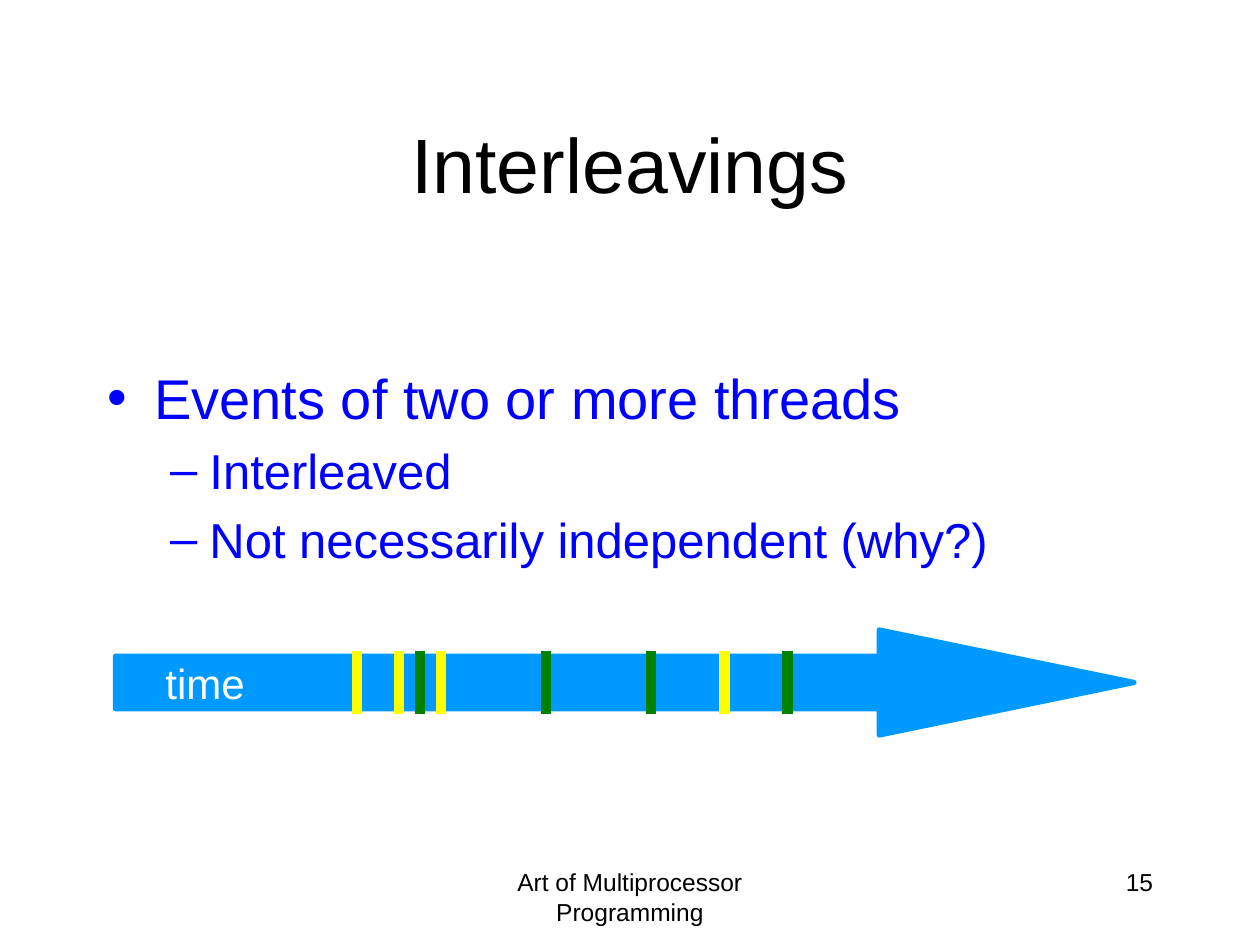
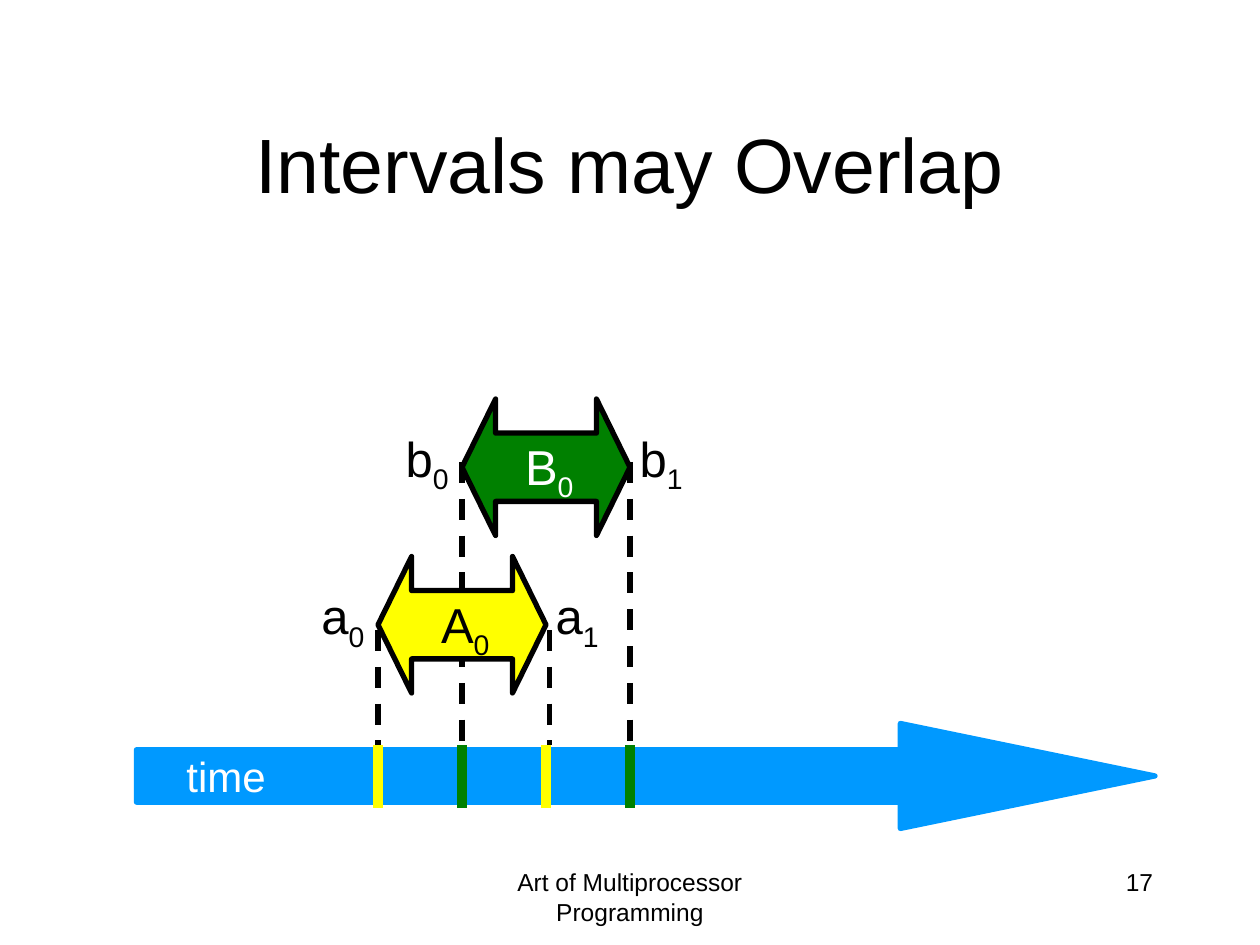
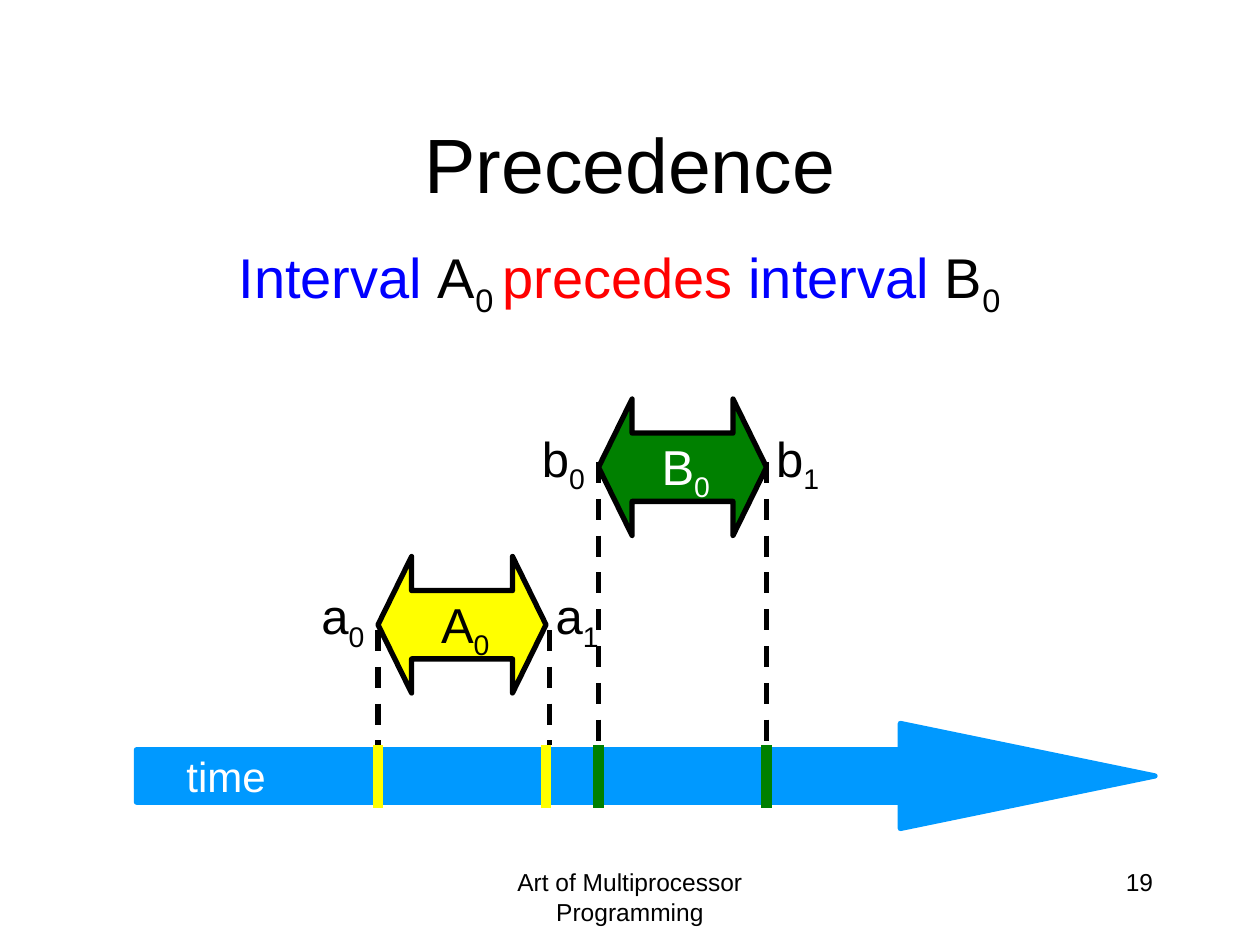
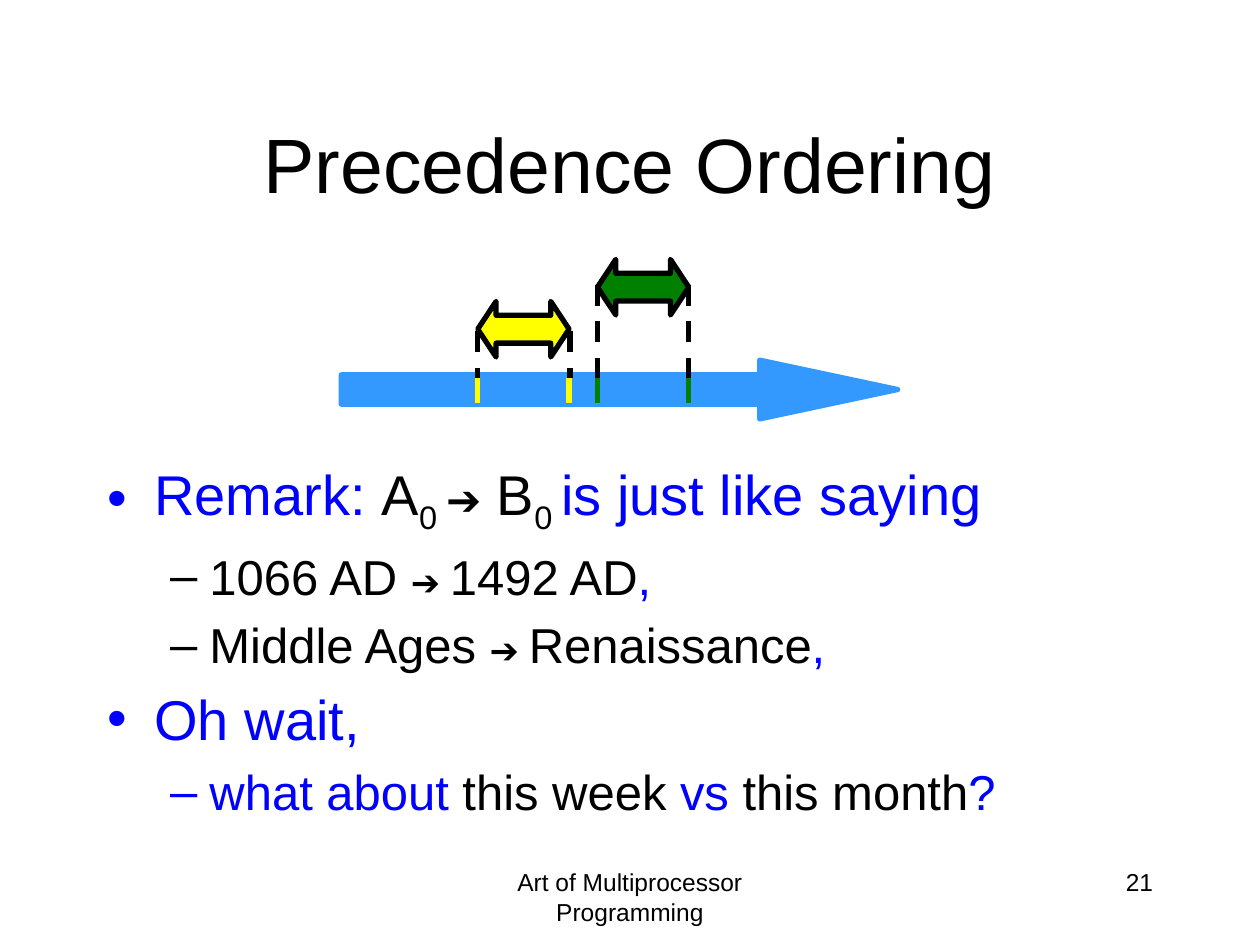
from lxml.etree import SubElement
from pptx import Presentation
from pptx.dml.color import RGBColor
from pptx.enum.dml import MSO_LINE_DASH_STYLE as Dash
from pptx.enum.shapes import MSO_CONNECTOR as Connector, MSO_SHAPE as Shape
from pptx.enum.text import MSO_AUTO_SIZE as AutoSize, PP_ALIGN as Align
from pptx.oxml.ns import qn
from pptx.util import Inches, Pt

COLORS = {
    "black": "000000", "white": "FFFFFF", "blue": "0000FF", "red": "FF0000",
    "yellow": "FFFF00", "green": "008000", "time": "0099FF", "small time": "3399FF",
}
FONT = "Arial"
FOOTER = "Art of Multiprocessor Programming"

presentation = Presentation()
presentation.slide_width = Inches(10)
presentation.slide_height = Inches(7.5)
CELL = presentation.slide_width / 120


def write_runs(paragraph, runs):
    for text, color, size, *subscript in runs:
        run = paragraph.add_run()
        run.text = text
        run.font.name = FONT
        run.font.size = Pt(size)
        run.font.color.rgb = RGBColor.from_string(COLORS[color])
        if subscript:
            run._r.get_or_add_rPr().set("baseline", "-25000")


def add_line(slide, column, top, bottom, color, width, dash=None):
    ends = [round(value * CELL) for value in (column, top, column, bottom)]
    line = slide.shapes.add_connector(Connector.STRAIGHT, *ends)
    line.line.color.rgb = RGBColor.from_string(COLORS[color])
    line.line.width = Pt(width)
    if dash:
        line.line.dash_style = dash
    SubElement(line._element.spPr, qn("a:effectLst"))


interval_a = {
    "name": "A", "box": (36, 53, 16, 13), "fill": "yellow", "text": "black",
    "dash": (60, 71), "right": 52.3, "adjust": 0.246,
}
interval_b = {
    "name": "B", "box": (44, 38, 16, 13), "fill": "green", "text": "white",
    "dash": (44, 77), "right": 60, "adjust": 0.246,
}
later_b = {**interval_b, "box": (57, 38, 16, 13), "right": 73}
small_a = {
    **interval_a, "box": (45.5, 28.7, 8.7, 5.3), "dash": (31.5, 36),
    "right": 54.3, "adjust": 0.33,
}
small_b = {
    **interval_b, "box": (56.9, 24.7, 8.7, 5.3), "dash": (27.1, 38.4),
    "right": 65.6, "adjust": 0.33,
}
large_time = {"fill": "time", "head": 2.425, "ticks": (71, 77), "tick width": 6, "labels": True}
small_time = {"fill": "small time", "head": 2.347, "ticks": (36, 38.4), "tick width": 3, "labels": False}

slides = [
    {
        "title": "Interleavings", "number": 15,
        "time": {**large_time, "box": (11, 60, 97, 10), "ticks": (62, 68)},
        "events": {"yellow": (34, 38, 42, 69), "green": (40, 52, 62, 75)},
        "body box": (9, 34, 102, 46),
        "body": [
            (0, [("Events of two or more threads", "blue", 32)]),
            (1, [("Interleaved", "blue", 28)]),
            (1, [("Not necessarily independent (why?)", "blue", 28)]),
        ],
    },
    {
        "title": "Intervals may Overlap", "number": 17,
        "time": {**large_time, "box": (13, 68.9, 97, 10)},
        "intervals": [interval_a, interval_b],
    },
    {
        "title": "Precedence", "number": 19,
        "time": {**large_time, "box": (13, 68.9, 97, 10)},
        "intervals": [interval_a, later_b],
        "subtitle": [
            ("Interval ", "blue", 32), ("A", "black", 32), ("0 ", "black", 32, True),
            ("precedes", "red", 32), (" interval ", "blue", 32),
            ("B", "black", 32), ("0", "black", 32, True),
        ],
    },
    {
        "title": "Precedence Ordering", "number": 21,
        "time": {**small_time, "box": (32.5, 34.3, 53, 5.6)},
        "intervals": [small_a, small_b],
        "body box": (9, 43.2, 102, 37),
        "body": [
            (0, [
                ("Remark: ", "blue", 32), ("A", "black", 32), ("0 ", "black", 32, True),
                ("➔", "black", 24), (" B", "black", 32), ("0 ", "black", 32, True),
                ("is just like saying", "blue", 32),
            ]),
            (1, [("1066 AD ", "black", 28), ("➔ ", "black", 20),
                 ("1492 AD", "black", 28), (",", "blue", 28)]),
            (1, [("Middle Ages ", "black", 28), ("➔ ", "black", 20),
                 ("Renaissance", "black", 28), (",", "blue", 28)]),
            (0, [("Oh wait,", "blue", 32)]),
            (1, [
                ("what about ", "blue", 28), ("this week", "black", 28), (" vs ", "blue", 28),
                ("this month", "black", 28), ("?", "blue", 28),
            ]),
        ],
    },
]

for content in slides:
    layout = presentation.slide_layouts[1 if "body" in content else 5]
    slide = presentation.slides.add_slide(layout)
    time = content["time"]
    intervals = content.get("intervals", [])
    tick_top, tick_bottom = time["ticks"]
    texts = [
        ((41, 82, 38, 6), Align.CENTER, True, [(FOOTER, "black", 14)]),
        ((86, 82, 25, 6), Align.RIGHT, True, [(str(content["number"]), "black", 14)]),
    ]

    title = slide.shapes.title
    title.left, title.top, title.width, title.height = [
        round(value * CELL) for value in (9, 8, 102, 15)
    ]
    write_runs(title.text_frame.paragraphs[0], [(content["title"], "black", 44)])

    arrows = [(Shape.RIGHT_ARROW, time["box"], time["fill"], time["fill"], time["head"], 0)]
    for interval in intervals:
        left = interval["box"][0]
        for column in (left, interval["right"]):
            add_line(slide, column, *interval["dash"], "black", 3, Dash.DASH)
        arrows.append((Shape.LEFT_RIGHT_ARROW, interval["box"], interval["fill"],
                       "black", interval["adjust"], 180))

    for kind, box, fill, outline, adjustment, rotation in arrows:
        arrow = slide.shapes.add_shape(kind, *[round(value * CELL) for value in box])
        arrow.adjustments[0] = 0.5
        arrow.adjustments[1] = adjustment
        arrow.rotation = rotation
        arrow.shadow.inherit = False
        arrow.fill.solid()
        arrow.fill.fore_color.rgb = RGBColor.from_string(COLORS[fill])
        arrow.line.color.rgb = RGBColor.from_string(COLORS[outline])
        arrow.line.width = Pt(3)
        if kind == Shape.RIGHT_ARROW:
            slide.shapes._spTree.remove(arrow._element)
            slide.shapes._spTree.insert(2, arrow._element)

    ticks = [(column, color) for color, columns in content.get("events", {}).items()
             for column in columns]
    for interval in intervals:
        left, top, width, height = interval["box"]
        ticks += [(left, interval["fill"]), (left + width, interval["fill"])]
        if time["labels"]:
            name = interval["name"]
            for letter, index, across, down, color in (
                (name.lower(), "0", -7.1, 2.2, "black"),
                (name.lower(), "1", 15.2, 2.2, "black"),
                (name, "0", 4.4, 3, interval["text"]),
            ):
                texts.append(((left + across, top + down, 7 if down < 3 else 7.4, 6.8),
                              Align.RIGHT, False,
                              [(letter, color, 28), (index, color, 28, True)]))
    for column, color in ticks:
        add_line(slide, column, tick_top, tick_bottom, color, time["tick width"])

    if time["labels"]:
        left, top = time["box"][:2]
        texts.append(((left + 3.4, top + 2, 10.1, 6.1), Align.RIGHT, False,
                      [("time", "white", 24)]))
    if "subtitle" in content:
        texts.append(((8, 22.5, 102, 13), Align.CENTER, True, content["subtitle"]))
    for box, alignment, wrap, runs in texts:
        text_box = slide.shapes.add_textbox(*[round(value * CELL) for value in box])
        text_box.text_frame.word_wrap = wrap
        paragraph = text_box.text_frame.paragraphs[0]
        paragraph.alignment = alignment
        write_runs(paragraph, runs)

    if "body" in content:
        body = slide.placeholders[1]
        body.left, body.top, body.width, body.height = [
            round(value * CELL) for value in content["body box"]
        ]
        frame = body.text_frame
        frame.auto_size = AutoSize.NONE
        for position, (level, runs) in enumerate(content["body"]):
            paragraph = frame.add_paragraph() if position else frame.paragraphs[0]
            paragraph.level = level
            if position == 0:
                paragraph.space_before = Pt(0)
            write_runs(paragraph, runs)

presentation.save("out.pptx")
